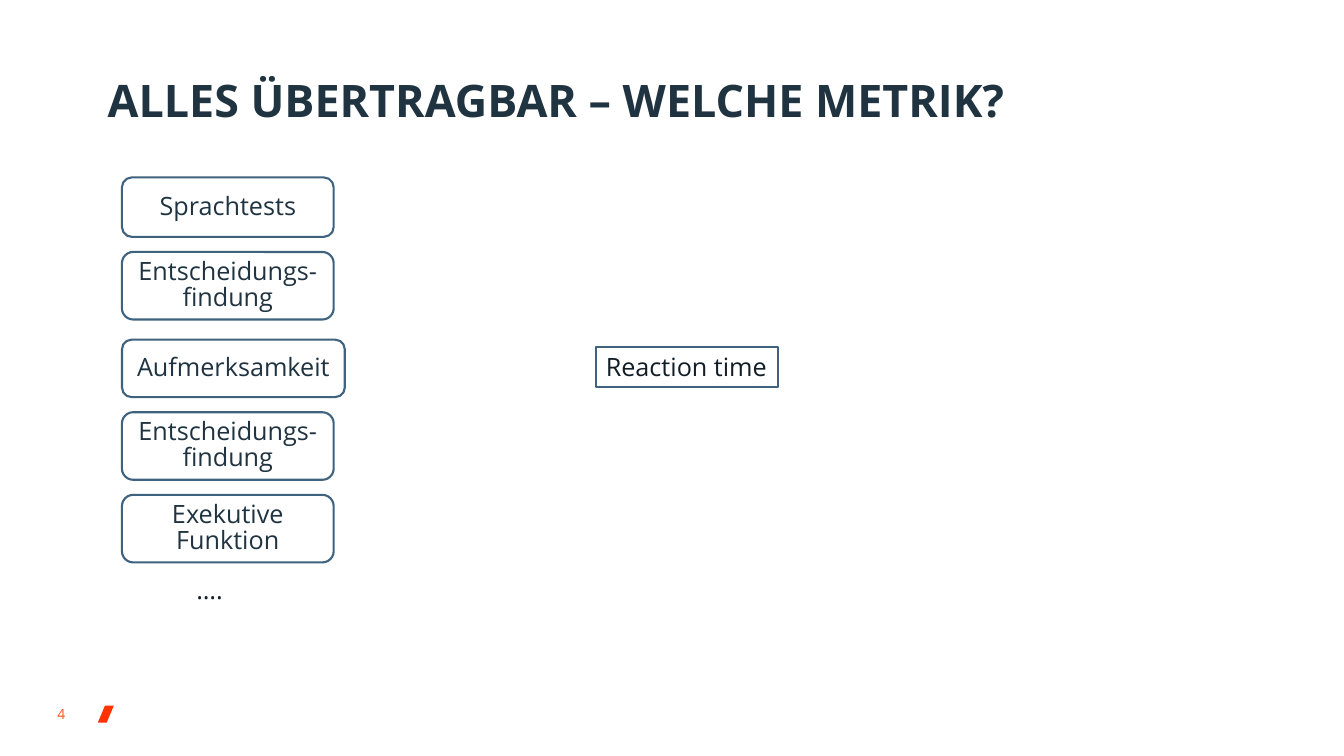
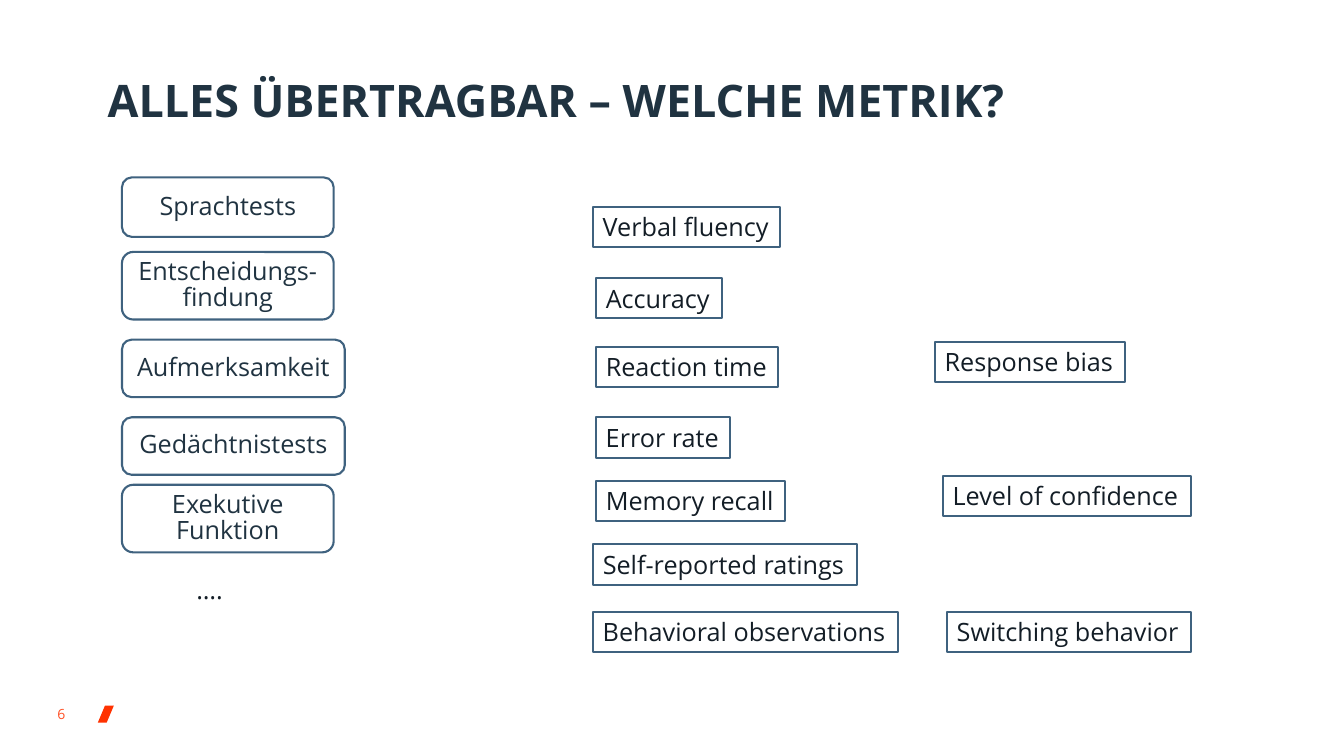
"""Build two slides that set cognitive tests beside the metrics they yield."""
from pptx import Presentation
from pptx.dml.color import RGBColor
from pptx.enum.shapes import MSO_SHAPE as Shape
from pptx.enum.text import MSO_ANCHOR as Anchor, MSO_AUTO_SIZE as AutoSize, PP_ALIGN as Align
from pptx.util import Inches, Pt

FONT = "Open Sans"
WHITE, NAVY, INK, STEEL = "FFFFFF", "203341", "131D26", "3F627F"
ORANGE, RED = "FF5126", "FF3200"

TITLE = "ALLES ÜBERTRAGBAR – WELCHE METRIK?"
MORE_TESTS = "…."
TEST_LEFT, METRIC_HEIGHT = 1.21, 0.4

# test: text, top, width, height
SHARED_TESTS = [
    ("Sprachtests", 1.76, 2.1, 0.59),
    ("Entscheidungs-findung", 2.5, 2.1, 0.67),
    ("Aufmerksamkeit", 3.37, 2.21, 0.57),
]
# metric: text, left, top, width
REACTION_TIME = ("Reaction time", 5.91, 3.44, 1.81)

SLIDES = [
    {
        "number": "4",
        "tests": SHARED_TESTS + [
            ("Entscheidungs-findung", 4.09, 2.1, 0.67),
            ("Exekutive Funktion", 4.91, 2.1, 0.67),
        ],
        "metrics": [REACTION_TIME],
    },
    {
        "number": "6",
        "tests": SHARED_TESTS + [
            ("Gedächtnistests", 4.14, 2.21, 0.57),
            ("Exekutive Funktion", 4.81, 2.1, 0.67),
        ],
        "metrics": [
            ("Verbal fluency", 5.88, 2.05, 1.86),
            ("Accuracy", 5.91, 2.76, 1.25),
            REACTION_TIME,
            ("Error rate", 5.91, 4.14, 1.33),
            ("Memory recall", 5.91, 4.77, 1.88),
            ("Self-reported ratings", 5.88, 5.4, 2.62),
            ("Behavioral observations", 5.88, 6.07, 3.03),
            ("Response bias", 9.27, 3.39, 1.89),
            ("Level of confidence", 9.35, 4.72, 2.46),
            ("Switching behavior", 9.39, 6.07, 2.42),
        ],
    },
]

GROWING = {"word_wrap": False, "auto_size": AutoSize.SHAPE_TO_FIT_TEXT,
           "vertical_anchor": Anchor.TOP}
NO_MARGINS = {f"margin_{side}": 0 for side in ("left", "top", "right", "bottom")}
STYLES = {
    "title": {
        "frame": {"word_wrap": True, "vertical_anchor": Anchor.TOP},
        "paragraph": {"line_spacing": Pt(32)},
        "font": {"size": Pt(32), "bold": True}, "color": NAVY,
    },
    "number": {
        "frame": {"word_wrap": True, "vertical_anchor": Anchor.BOTTOM, **NO_MARGINS},
        "paragraph": {}, "font": {"size": Pt(10)}, "color": ORANGE,
    },
    "test": {
        "frame": {"word_wrap": True, "vertical_anchor": Anchor.MIDDLE},
        "paragraph": {"alignment": Align.CENTER, "line_spacing": Pt(18.5),
                      "space_after": Pt(8)},
        "font": {"size": Pt(18)}, "color": NAVY,
    },
    "metric": {
        "frame": GROWING, "paragraph": {"alignment": Align.LEFT},
        "font": {"size": Pt(18)}, "color": INK,
    },
}


def rgb(value):
    return RGBColor.from_string(value)


def apply(target, values):
    for name, value in values.items():
        setattr(target, name, value)


def write(holder, text, style):
    look = STYLES[style]
    frame = holder.text_frame
    paragraph = frame.paragraphs[0]
    run = paragraph.add_run()
    run.text = text
    apply(frame, look["frame"])
    apply(paragraph, look["paragraph"])
    apply(run.font, {"name": FONT, **look["font"]})
    run.font.color.rgb = rgb(look["color"])


def add_text(slide, text, box, style):
    write(slide.shapes.add_textbox(*map(Inches, box)), text, style)


def add_figure(slide, outline, box, fill, line=None):
    figure = slide.shapes.add_shape(outline, *map(Inches, box))
    figure.shadow.inherit = False
    figure.fill.solid()
    figure.fill.fore_color.rgb = rgb(fill)
    if line:
        figure.line.color.rgb = rgb(line)
        figure.line.width = Pt(1.5)
    else:
        figure.line.fill.background()
    return figure


def add_frame(slide, number):
    marker = add_figure(slide, Shape.PARALLELOGRAM, (0.97, 7, 0.16, 0.17), RED)
    marker.adjustments[0] = 0.45
    add_text(slide, TITLE, (0.97, 0.76, 10.32, 0.82), "title")
    add_text(slide, number, (0.57, 6.83, 0.4, 0.34), "number")


def add_label(slide, outline, text, box, style):
    write(add_figure(slide, outline, box, WHITE, STEEL), text, style)


def main():
    deck = Presentation()
    deck.slide_width, deck.slide_height = Inches(13.33), Inches(7.5)
    for content in SLIDES:
        slide = deck.slides.add_slide(deck.slide_layouts[6])
        add_frame(slide, content["number"])
        for text, top, width, height in content["tests"]:
            add_label(slide, Shape.ROUNDED_RECTANGLE, text,
                      (TEST_LEFT, top, width, height), "test")
        for text, left, top, width in content["metrics"]:
            add_label(slide, Shape.RECTANGLE, text,
                      (left, top, width, METRIC_HEIGHT), "metric")
        add_text(slide, MORE_TESTS, (1.85, 5.65, 0.47, METRIC_HEIGHT), "metric")
    deck.save("out.pptx")


if __name__ == "__main__":
    main()
